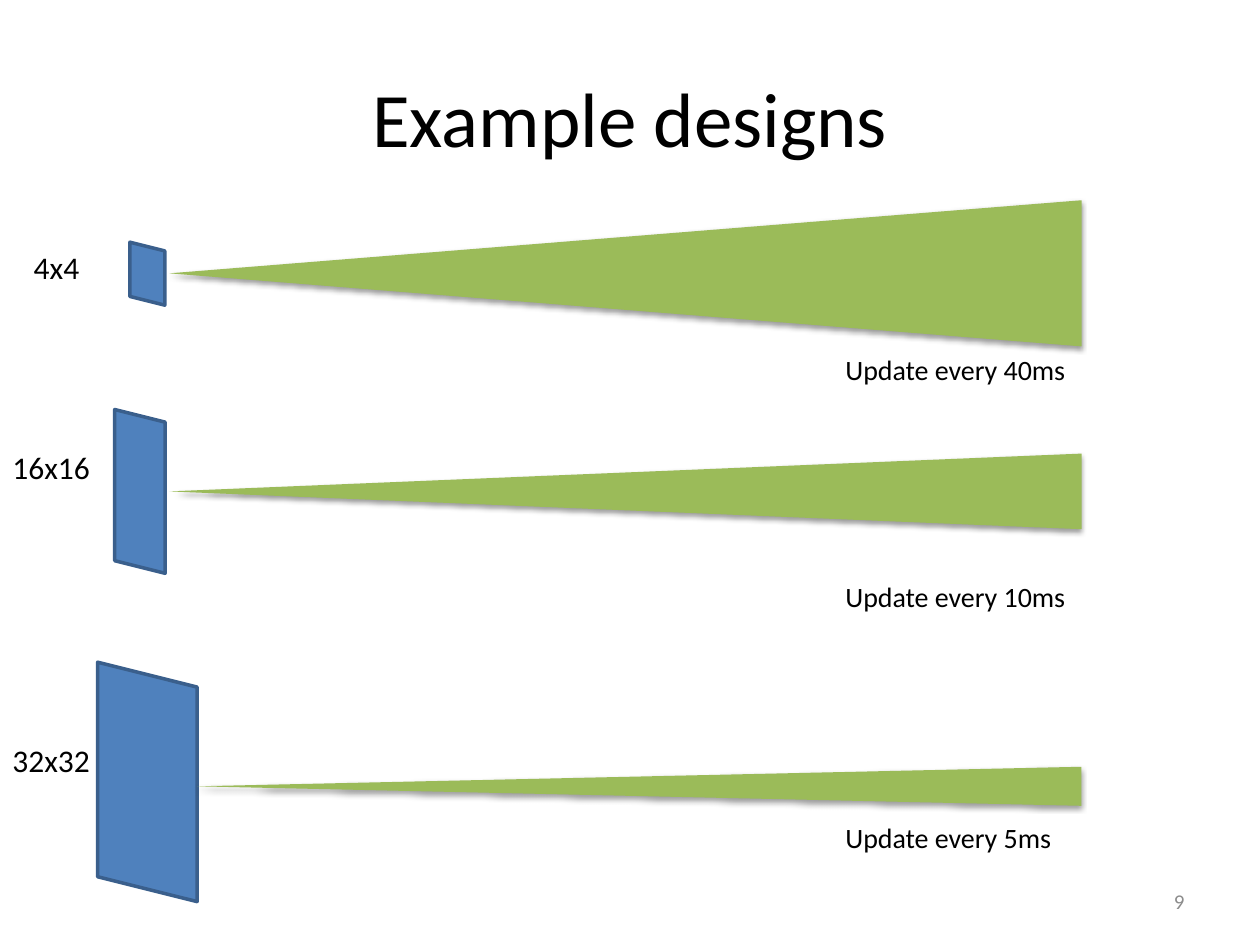
from lxml import etree
from pptx import Presentation
from pptx.dml.color import RGBColor
from pptx.enum import shapes, text
from pptx.oxml.ns import qn
from pptx.util import Pt

FONT = "Calibri"
BLACK, GREY, BLUE, BLUE_EDGE, GREEN = "000000", "8C8C8C", "4F81BD", "3A5F8C", "9BBB59"
TITLE = "Example designs"
PAGE = "9"
BEAM_END = 618
UPDATE_LEFT = 476

# Panels are (centre x, centre y, width, height), beams (tip x, axis y, spread),
# labels (left, top, width); all lengths in points.
DESIGNS = [
    {"size": "4x4", "label": (12.2, 138.2, 53.3), "panel": (84.2, 156.4, 20, 36),
     "beam": (96.8, 156.2, 83.5), "update": "Update every 40ms", "update_top": 198},
    {"size": "16x16", "label": (0, 252.7, 60), "panel": (80, 280.8, 28.8, 93.6),
     "beam": (96.8, 280.8, 43.2), "update": "Update every 10ms", "update_top": 327.6},
    {"size": "32x32", "label": (0, 419.8, 60), "panel": (84.2, 446.8, 56.9, 136.8),
     "beam": (112.6, 449.3, 22.3), "update": "Update every 5ms", "update_top": 465.1},
]


def rgb(value):
    return RGBColor.from_string(value)


def style_text(frame, content, size, color=BLACK, align=text.PP_ALIGN.LEFT):
    frame.text = content
    paragraph = frame.paragraphs[0]
    paragraph.alignment = align
    font = paragraph.runs[0].font
    font.name, font.size = FONT, Pt(size)
    font.color.rgb = rgb(color)


def add_text(slide, left, top, width, height, content, size, wrap=True, **style):
    frame = slide.shapes.add_textbox(Pt(left), Pt(top), Pt(width), Pt(height)).text_frame
    frame.word_wrap = wrap
    style_text(frame, content, size, **style)
    return frame


def add_turned(slide, preset, center_x, center_y, width, height, fill):
    """Add a shape turned 270 degrees; width and height are as seen after the turn."""
    shape = slide.shapes.add_shape(
        preset, Pt(center_x - height / 2), Pt(center_y - width / 2), Pt(height), Pt(width))
    shape.rotation = 270
    shape.fill.solid()
    shape.fill.fore_color.rgb = rgb(fill)
    shape.shadow.inherit = False
    return shape


def add_panel(slide, center_x, center_y, width, height):
    panel = add_turned(slide, shapes.MSO_SHAPE.PARALLELOGRAM,
                       center_x, center_y, width, height, BLUE)
    panel.line.color.rgb = rgb(BLUE_EDGE)
    panel.line.width = Pt(2)


def add_beam(slide, tip, axis, spread):
    beam = add_turned(slide, shapes.MSO_SHAPE.ISOSCELES_TRIANGLE,
                      (tip + BEAM_END) / 2, axis, BEAM_END - tip, spread, GREEN)
    beam.line.fill.background()
    effects = beam._element.spPr.find(qn("a:effectLst"))
    shadow = etree.SubElement(effects, qn("a:outerShdw"), blurRad=str(Pt(3.1)),
                              dist=str(Pt(1.6)), dir="5400000", rotWithShape="0")
    color = etree.SubElement(shadow, qn("a:srgbClr"), val=BLACK)
    etree.SubElement(color, qn("a:alpha"), val="38000")


def main():
    deck = Presentation()
    deck.slide_width, deck.slide_height = Pt(720), Pt(540)
    slide = deck.slides.add_slide(deck.slide_layouts[5])

    title = slide.shapes.title
    title.left, title.top, title.width, title.height = Pt(36), Pt(21.6), Pt(648), Pt(90)
    title.text_frame.vertical_anchor = text.MSO_ANCHOR.MIDDLE
    style_text(title.text_frame, TITLE, 44, align=text.PP_ALIGN.CENTER)

    page = add_text(slide, 516, 500.5, 168, 28.8, PAGE, 12,
                    color=GREY, align=text.PP_ALIGN.RIGHT)
    page.vertical_anchor = text.MSO_ANCHOR.MIDDLE

    for design in DESIGNS:
        add_panel(slide, *design["panel"])
        add_text(slide, *design["label"], 29, design["size"], 18)
        add_beam(slide, *design["beam"])
        add_text(slide, UPDATE_LEFT, design["update_top"], 142, 26.6,
                 design["update"], 16, wrap=False)

    deck.save("out.pptx")


if __name__ == "__main__":
    main()
